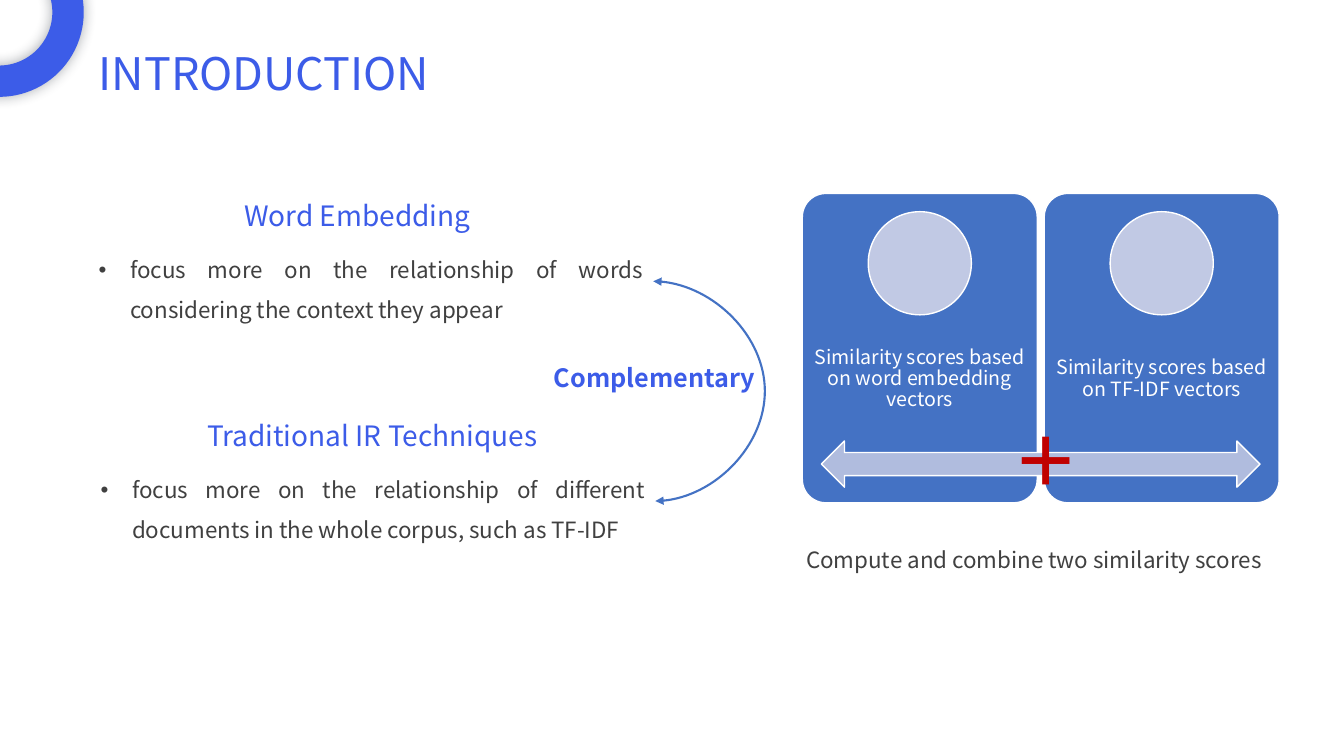
from lxml.etree import SubElement
from pptx import Presentation
from pptx.dml.color import RGBColor
from pptx.enum.shapes import MSO_CONNECTOR as Link, MSO_SHAPE as Shape
from pptx.enum.text import MSO_ANCHOR as Anchor, PP_ALIGN as Align
from pptx.oxml.ns import qn
from pptx.util import Pt

FONT = "Noto Sans CJK SC"
ACCENT, BLUE, GREY, WHITE, RED = "3C5CE8", "4472C4", "404040", "FFFFFF", "C00000"
PALE, MIST, SHADOW = "C1C9E4", "B0BCDE", "222A35"


def color(value):
    return RGBColor.from_string(value)


def add_child(parent, tag, **attributes):
    return SubElement(parent, qn(tag), attributes)


def add_text(page, box, text, size=16, fill=GREY, bold=False, align=Align.LEFT,
             anchor=Anchor.TOP, spacing=None, bullet=False, wrap=True, inset=None):
    frame = page.shapes.add_textbox(*map(Pt, box)).text_frame
    frame.word_wrap, frame.vertical_anchor = wrap, anchor
    if inset is not None:
        frame.margin_left = frame.margin_right = Pt(inset)
        frame.margin_top = frame.margin_bottom = Pt(inset)
    para = frame.paragraphs[0]
    para.alignment = align
    if spacing:
        para.line_spacing = spacing
    if bullet:
        settings = para._p.get_or_add_pPr()
        settings.set("marL", str(Pt(22.5)))
        settings.set("indent", str(-Pt(22.5)))
        add_child(settings, "a:buFont", typeface="Arial")
        add_child(settings, "a:buChar", char="•")
    span = para.add_run()
    span.text = text
    span.font.name, span.font.size, span.font.bold = FONT, Pt(size), bold
    span.font.color.rgb = color(fill)
    add_child(span._r.get_or_add_rPr(), "a:ea", typeface=FONT)


def add_figure(page, kind, box, fill, line=WHITE, adjust=None):
    figure = page.shapes.add_shape(kind, *map(Pt, box))
    figure.shadow.inherit = False
    figure.fill.solid()
    figure.fill.fore_color.rgb = color(fill)
    if line:
        figure.line.color.rgb = color(line)
        figure.line.width = Pt(1)
    else:
        figure.line.fill.background()
    if adjust is not None:
        figure.adjustments[0] = adjust
    return figure


def add_header(page, left, top, width, height):
    # Corner ring with a soft glow-like shadow
    ring = add_figure(page, Shape.DONUT, (left - 124.6, top - 80.6, 121, 121),
                      ACCENT, line=None, adjust=0.185)
    effects = ring._element.spPr.find(qn("a:effectLst"))
    shadow = add_child(effects, "a:outerShdw", blurRad=str(Pt(10)), dist="0",
                       dir="0", algn="ctr", rotWithShape="0")
    tint = add_child(shadow, "a:srgbClr", val=SHADOW)
    add_child(tint, "a:alpha", val="40000")
    add_text(page, (left, top, width, height), "INTRODUCTION", size=32, fill=ACCENT)


def add_topic(page, left, top, width, height, heading, body, center):
    """Centred heading above one justified bullet."""
    add_text(page, (left + center - 145, top, 290, 31.7), heading, size=20,
             fill=ACCENT, align=Align.CENTER)
    add_text(page, (left, top + 31.7, width, height - 31.7), body,
             align=Align.JUSTIFY, spacing=1.5, bullet=True)


def add_complement(page, left, top, width, height):
    """Curved double arrow that bulges right, with its label."""
    bulge = 79.4
    curve = page.shapes.add_connector(
        Link.CURVE, Pt(left), Pt(top), Pt(left + width), Pt(top + height))
    curve.line.color.rgb = color(BLUE)
    curve.line.width = Pt(1.5)
    shape_props = curve._element.spPr
    guides = shape_props.find(qn("a:prstGeom")).get_or_add_avLst()
    add_child(guides, "a:gd", name="adj1", fmla=f"val {round(bulge / width * 100000)}")
    outline = shape_props.find(qn("a:ln"))
    for end in ("a:headEnd", "a:tailEnd"):
        add_child(outline, end, type="triangle")
    add_child(shape_props, "a:effectLst")
    add_text(page, (left - 82.8, top + 54.7, 171.4, 28.8), "Complementary ", size=18,
             fill=ACCENT, bold=True, align=Align.CENTER)


def add_card(page, left, top, width, height, label):
    add_figure(page, Shape.ROUNDED_RECTANGLE, (left, top, width, height), BLUE, adjust=0.1)
    add_text(page, (left, top + 0.4 * height, width, 0.4 * height), label, size=14,
             fill=WHITE, align=Align.CENTER, anchor=Anchor.MIDDLE, spacing=0.9, inset=7.9)
    disc = height / 3
    add_figure(page, Shape.OVAL, (left + (width - disc) / 2, top + 13, disc, disc), PALE)


def add_scores(page, left, top, width, height):
    """Two cards joined by a double arrow and a plus sign, with a caption."""
    gap = 5
    card_width = (width - gap) / 2
    labels = ("Similarity scores based on word embedding vectors",
              "Similarity scores based on TF-IDF vectors")
    for index, label in enumerate(labels):
        add_card(page, left + index * (card_width + gap), top, card_width, height, label)
    arrow_width = 0.92 * width
    add_figure(page, Shape.LEFT_RIGHT_ARROW,
               (left + (width - arrow_width) / 2, top + 0.8 * height, arrow_width, 33), MIST)
    add_text(page, (left + width / 2 - 27, top + 157.7, 56.2, 67.7), "＋", size=48,
             fill=RED, bold=True, align=Align.CENTER, wrap=False)
    add_text(page, (left - 4.3, top + height + 27.4, 350.6, 27.4),
             "Compute and combine two similarity scores")


def main():
    deck = Presentation()
    deck.slide_width, deck.slide_height = Pt(960), Pt(540)
    page = deck.slides.add_slide(deck.slide_layouts[6])
    add_header(page, 63.4, 28.8, 332.6, 46)
    add_topic(page, 63.4, 138.2, 403.2, 93.6, "Word Embedding",
              "focus more on the relationship of words considering the context they appear",
              center=191.9)
    add_topic(page, 64.8, 295.2, 403.2, 93.6, "Traditional IR Techniques",
              "focus more on the relationship of different documents in the whole corpus, "
              "such as TF-IDF", center=201.2)
    add_complement(page, 466.6, 200.9, 1.44, 157)
    add_scores(page, 573.1, 138.2, 340.6, 221)
    deck.save("out.pptx")


if __name__ == "__main__":
    main()
